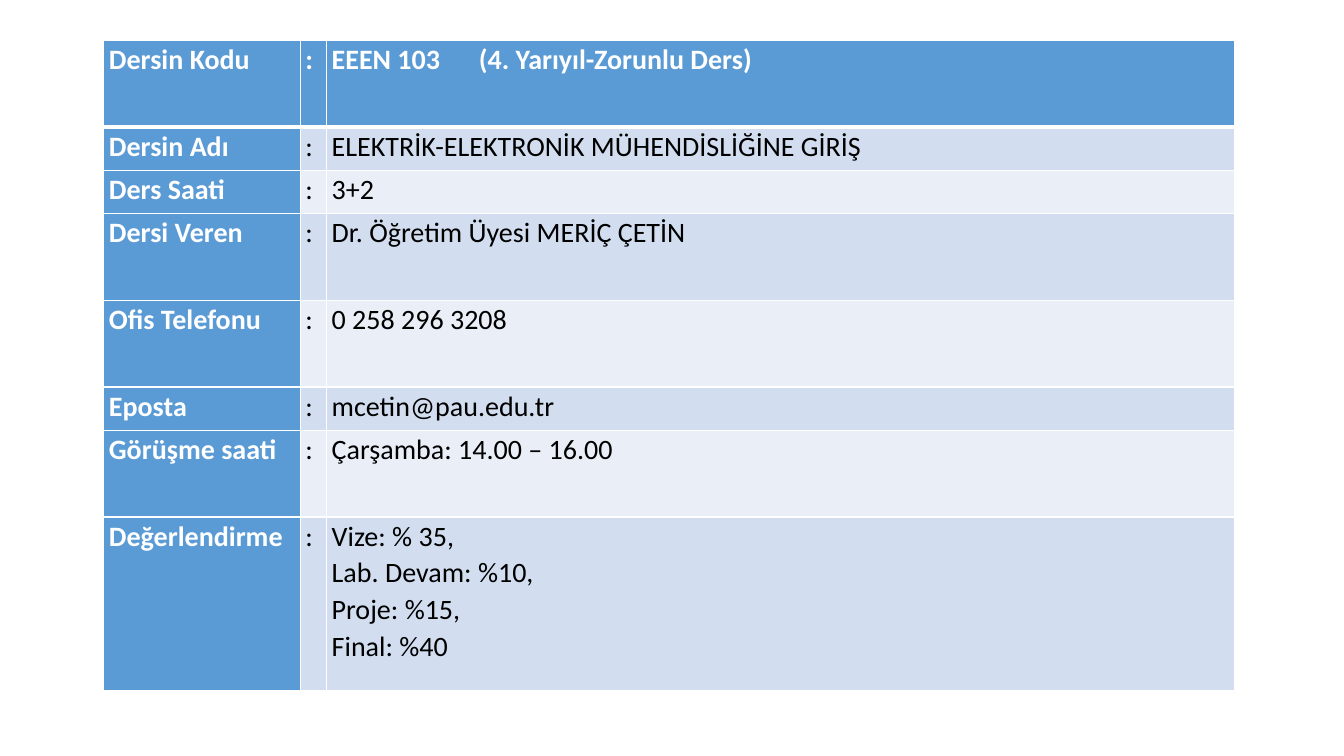
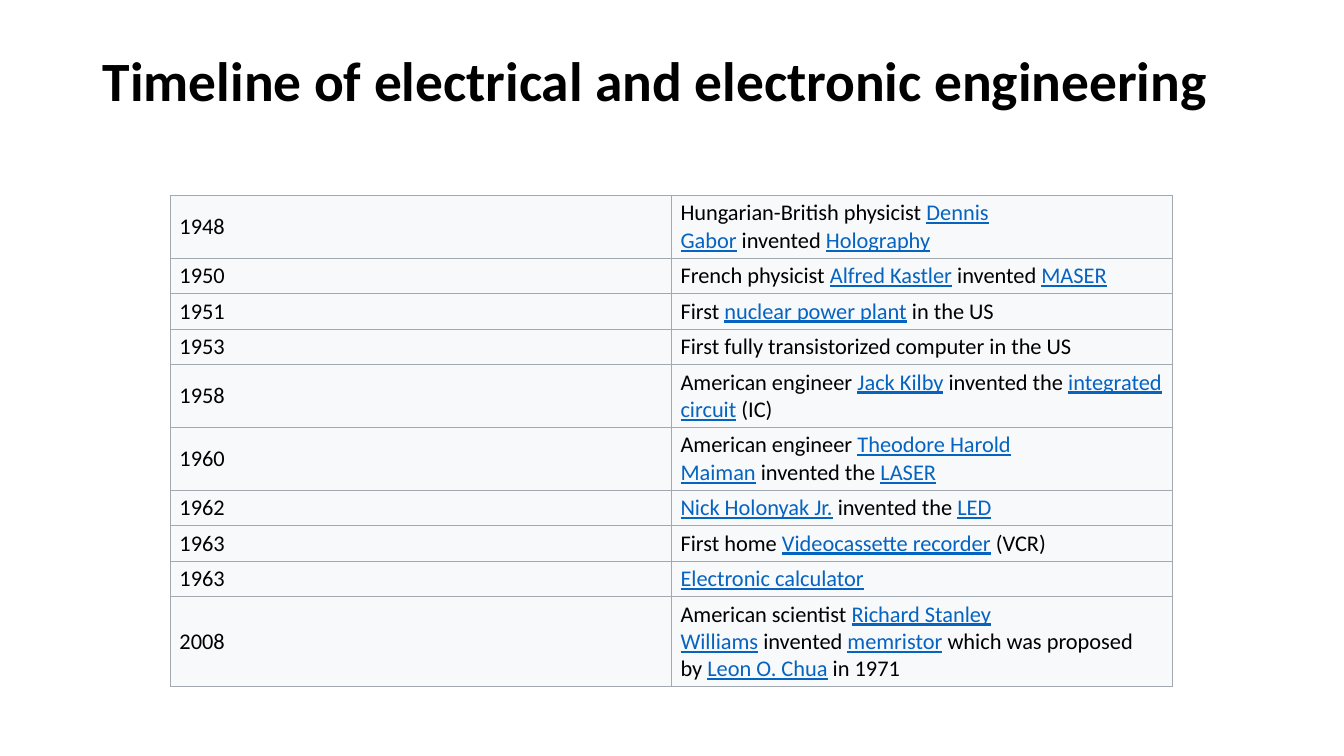
from lxml import etree
from pptx import Presentation
from pptx.dml.color import RGBColor
from pptx.enum.text import MSO_ANCHOR, PP_ALIGN
from pptx.oxml.ns import qn
from pptx.util import Inches, Pt

TOP, MIDDLE = MSO_ANCHOR.TOP, MSO_ANCHOR.MIDDLE
LEFT = PP_ALIGN.LEFT

WHITE = RGBColor(0xFF, 0xFF, 0xFF)
BLACK = RGBColor(0, 0, 0)
BLUE = RGBColor(0x5B, 0x9B, 0xD5)
DARK_BAND = RGBColor(0xD2, 0xDE, 0xEF)
LIGHT_BAND = RGBColor(0xEA, 0xEF, 0xF7)
LINK = RGBColor(0x05, 0x63, 0xC1)
PALE = RGBColor(0xF8, 0xF9, 0xFA)
GREY = RGBColor(0xA2, 0xA9, 0xB1)

FONT = "Calibri"
HARD_SPACE = chr(160)
TITLE_ONLY, BLANK = 5, 6

COURSE = [
    ("Dersin Kodu", ["EEEN 103\t(4. Yarıyıl-Zorunlu Ders)"], 2),
    ("Dersin Adı", ["ELEKTRİK-ELEKTRONİK MÜHENDİSLİĞİNE GİRİŞ"], 1),
    ("Ders Saati", ["3+2"], 1),
    ("Dersi Veren", ["Dr. Öğretim Üyesi MERİÇ ÇETİN"], 2),
    ("Ofis Telefonu", ["0 258 296 3208"], 2),
    ("Eposta", ["mcetin@pau.edu.tr"], 1),
    ("Görüşme saati", ["Çarşamba: 14.00 – 16.00"], 2),
    ("Değerlendirme",
     ["Vize: % 35,", "Lab. Devam: %10,", "Proje: %15,", "Final: %40"], 4),
]

# Year, event with link words in brackets, number of text lines
TIMELINE = [
    ("1948", "Hungarian-British physicist [Dennis Gabor] invented [Holography]", 2),
    ("1950", "French physicist [Alfred Kastler] invented [MASER]", 1),
    ("1951", "First [nuclear power plant] in the US", 1),
    ("1953", "First fully transistorized computer in the US", 1),
    ("1958", "American engineer [Jack Kilby] invented the [integrated circuit] (IC)", 2),
    ("1960", "American engineer [Theodore Harold Maiman] invented the [LASER]", 2),
    ("1962", "[Nick Holonyak Jr.] invented the [LED]", 1),
    ("1963", "First home [Videocassette recorder] (VCR)", 1),
    ("1963", "[Electronic calculator]", 1),
    ("2008", "American scientist [Richard Stanley Williams] invented [memristor]"
             " which was proposed by [Leon O. Chua] in 1971", 3),
]


class Deck:
    """Holds the shared style and the current page."""

    def __init__(self):
        self.show = Presentation()
        self.show.slide_width = Inches(13.33)
        self.show.slide_height = Inches(7.5)
        self.page = None

    def new_page(self, layout):
        self.page = self.show.slides.add_slide(self.show.slide_layouts[layout])

    def span(self, para, text, size, color=BLACK, bold=False, underline=False):
        span = para.add_run()
        span.text = text
        font = span.font
        font.name, font.size, font.bold = FONT, Pt(size), bold
        font.underline = underline
        font.color.rgb = color

    def title(self, text):
        box = self.page.shapes.title
        box.left, box.top = Inches(0.92), Inches(0.4)
        box.width, box.height = Inches(11.5), Inches(1.45)
        frame = box.text_frame
        frame.word_wrap = True
        frame.vertical_anchor = TOP
        frame.margin_top = Inches(0.13)
        para = frame.paragraphs[0]
        para.alignment = LEFT
        para.line_spacing = 0.9
        self.span(para, text, 39.6, bold=True)

    def table(self, left, top, widths, heights):
        frame = self.page.shapes.add_table(
            len(heights), len(widths), Inches(left), Inches(top),
            Inches(sum(widths)), Inches(sum(heights)))
        grid = frame.table
        grid.first_row = grid.horz_banding = False
        for column, width in zip(grid.columns, widths):
            column.width = Inches(width)
        for row, height in zip(grid.rows, heights):
            row.height = Inches(height)
        return grid

    def cell(self, cell, fill, anchor, side, ends):
        cell.fill.solid()
        cell.fill.fore_color.rgb = fill
        cell.vertical_anchor = anchor
        cell.margin_left = cell.margin_right = Inches(side)
        cell.margin_top = cell.margin_bottom = Inches(ends)

    def borders(self, cell, color, width, **special):
        """Draw the four edges; special gives other widths for lnT or lnB."""
        props = cell._tc.get_or_add_tcPr()
        for place, edge in enumerate(("lnL", "lnR", "lnT", "lnB")):
            line = etree.Element(qn("a:" + edge))
            line.set("w", str(Pt(special.get(edge, width))))
            fill = etree.SubElement(line, qn("a:solidFill"))
            etree.SubElement(fill, qn("a:srgbClr")).set("val", str(color))
            props.insert(place, line)

    def tab_stop(self, para, position):
        props = para._p.get_or_add_pPr()
        stops = etree.SubElement(props, qn("a:tabLst"))
        stop = etree.SubElement(stops, qn("a:tab"))
        stop.set("pos", str(Inches(position)))
        stop.set("algn", "l")

    def linked_text(self, para, text, size):
        """Bracketed words look like links, with hard spaces around them."""
        text = text.replace(" [", HARD_SPACE + "[").replace("] ", "]" + HARD_SPACE)
        for place, part in enumerate(text.replace("]", "[").split("[")):
            is_link = place % 2 == 1
            if part:
                self.span(para, part, size, LINK if is_link else BLACK,
                          underline=is_link)


def course_page(deck):
    deck.new_page(BLANK)
    grid = deck.table(1.03, 0.4, [1.95, 0.26, 9.01],
                      [0.43 * units for _, _, units in COURSE])
    for r, (label, values, _) in enumerate(COURSE):
        # The header row is set off by a thick line
        special = {0: {"lnB": 3}, 1: {"lnT": 3}}.get(r, {})
        for c, lines in enumerate(([label], [":"], values)):
            strong = r == 0 or c == 0
            band = DARK_BAND if r % 2 else LIGHT_BAND
            cell = grid.cell(r, c)
            deck.cell(cell, BLUE if strong else band, TOP, 0.05, 0)
            deck.borders(cell, WHITE, 1, **special)
            frame = cell.text_frame
            for n, line in enumerate(lines):
                para = frame.add_paragraph() if n else frame.paragraphs[0]
                para.line_spacing = 1.07
                if "\t" in line:
                    deck.tab_stop(para, 1.46)
                deck.span(para, line, 20, WHITE if strong else BLACK, strong)


def timeline_page(deck):
    deck.new_page(TITLE_ONLY)
    deck.title("Timeline of electrical and electronic engineering")
    grid = deck.table(1.69, 1.94, [4.97, 4.97],
                      [0.09 + 0.26 * lines for _, _, lines in TIMELINE])
    for r, (year, event, _) in enumerate(TIMELINE):
        for c, text in enumerate((year, event)):
            cell = grid.cell(r, c)
            deck.cell(cell, PALE, MIDDLE, 0.09, 0.04)
            deck.borders(cell, GREY, 0.75)
            deck.linked_text(cell.text_frame.paragraphs[0], text, 16)


def main():
    deck = Deck()
    course_page(deck)
    timeline_page(deck)
    deck.show.save("out.pptx")


if __name__ == "__main__":
    main()
